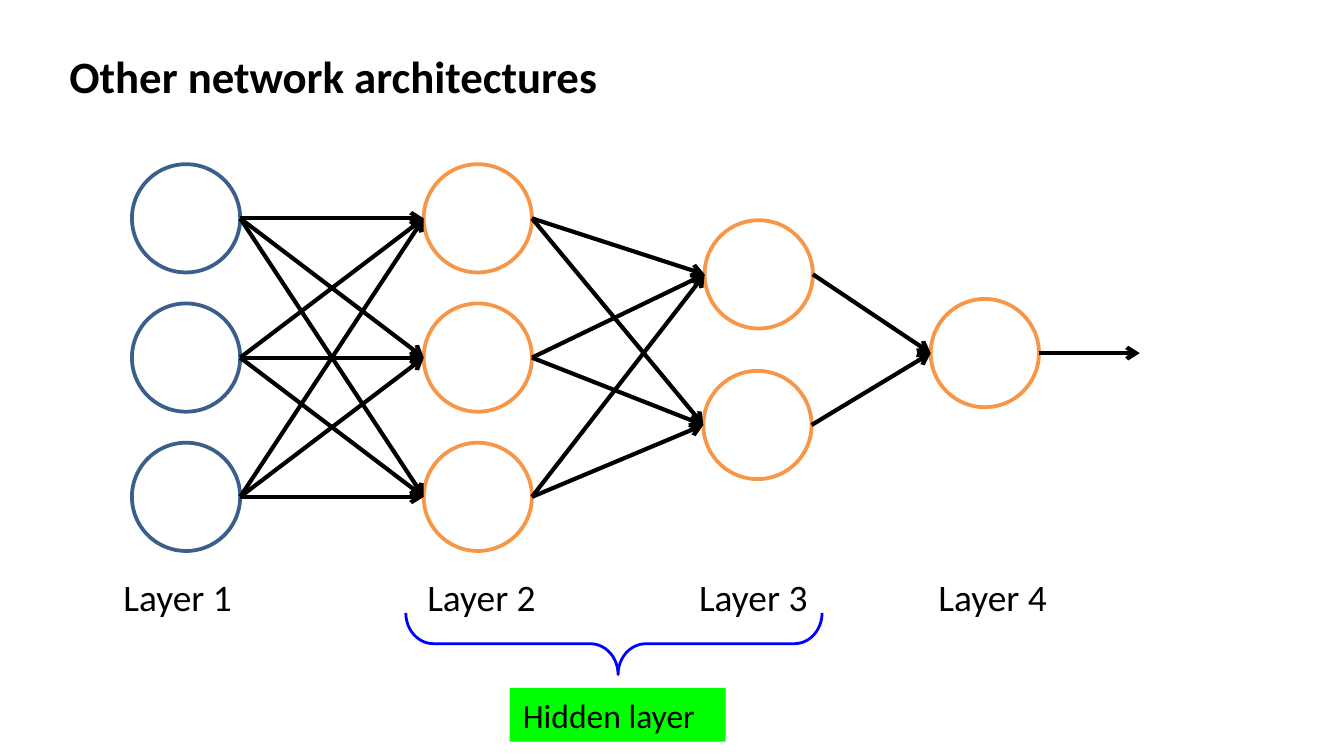
from dataclasses import dataclass
from itertools import pairwise, product

from lxml.etree import SubElement
from pptx import Presentation
from pptx.dml.color import RGBColor
from pptx.enum.shapes import MSO_CONNECTOR, MSO_SHAPE
from pptx.enum.text import MSO_ANCHOR, MSO_AUTO_SIZE, PP_ALIGN
from pptx.oxml.ns import qn
from pptx.util import Pt


@dataclass(frozen=True)
class Theme:
    font: str = "Calibri"
    text: RGBColor = RGBColor(0, 0, 0)
    neuron_fill: RGBColor = RGBColor(255, 255, 255)
    input_line: RGBColor = RGBColor(0x3A, 0x5F, 0x8C)
    neuron_line: RGBColor = RGBColor(0xF7, 0x96, 0x46)
    brace: RGBColor = RGBColor(0, 0, 255)
    highlight: RGBColor = RGBColor(0, 255, 0)
    title_size: int = 24
    label_size: int = 20
    note_size: int = 18
    neuron_width: float = 2
    edge_width: float = 2.25
    brace_width: float = 1.5


DIAMETER = 58
ROWS = [117 + 74.6 * row for row in range(3)]
# Neuron centres of each layer, in points
LAYERS = [
    [(99.7, y) for y in ROWS],
    [(256, y) for y in ROWS],
    [(406.5, 147), (405.8, 227.7)],
    [(527.6, 189.2)],
]
LABEL_LEFTS = [59, 221.8, 367.4, 495.6]
OUTPUT_END = 610.6


def set_text(frame, text, *, font, size, color, bold=False, wrap=True):
    frame.word_wrap = wrap
    frame.auto_size = MSO_AUTO_SIZE.SHAPE_TO_FIT_TEXT
    frame.vertical_anchor = MSO_ANCHOR.TOP
    paragraph = frame.paragraphs[0]
    paragraph.alignment = PP_ALIGN.LEFT
    run = paragraph.add_run()
    run.text = text
    run.font.name = font
    run.font.size = Pt(size)
    run.font.bold = bold
    run.font.color.rgb = color


class SlideBuilder:
    def __init__(self, slide, theme):
        self.slide = slide
        self.theme = theme

    def fill_text(self, shape, text, size, **options):
        set_text(shape.text_frame, text, font=self.theme.font, size=size,
                 color=self.theme.text, **options)

    def title(self, text, left, top, width, height):
        shape = self.slide.shapes.title
        shape.left, shape.top = Pt(left), Pt(top)
        shape.width, shape.height = Pt(width), Pt(height)
        self.fill_text(shape, text, self.theme.title_size, bold=True)

    def label(self, text, left, top, width, height):
        box = self.slide.shapes.add_textbox(Pt(left), Pt(top), Pt(width), Pt(height))
        self.fill_text(box, text, self.theme.label_size, wrap=False)

    def shape(self, kind, left, top, width, height, *, fill=None, line=None, line_width=1):
        shape = self.slide.shapes.add_shape(kind, Pt(left), Pt(top), Pt(width), Pt(height))
        shape.shadow.inherit = False
        if fill is None:
            shape.fill.background()
        else:
            shape.fill.solid()
            shape.fill.fore_color.rgb = fill
        if line is None:
            shape.line.fill.background()
        else:
            shape.line.color.rgb = line
            shape.line.width = Pt(line_width)
        return shape

    def neuron(self, center, line):
        x, y = center
        self.shape(MSO_SHAPE.OVAL, x - DIAMETER / 2, y - DIAMETER / 2, DIAMETER, DIAMETER,
                   fill=self.theme.neuron_fill, line=line,
                   line_width=self.theme.neuron_width)

    def note(self, text, left, top, width, height):
        box = self.shape(MSO_SHAPE.RECTANGLE, left, top, width, height,
                         fill=self.theme.highlight)
        self.fill_text(box, text, self.theme.note_size)

    def brace_below(self, left, top, width, height):
        """Draw a brace pointing down; the box is the one seen after rotation."""
        brace = self.shape(MSO_SHAPE.RIGHT_BRACE,
                           left + (width - height) / 2, top + (height - width) / 2,
                           height, width,
                           line=self.theme.brace, line_width=self.theme.brace_width)
        brace.rotation = 90
        brace.adjustments[0] = 0.45
        brace.adjustments[1] = 0.49

    def arrow(self, start, end):
        connector = self.slide.shapes.add_connector(
            MSO_CONNECTOR.STRAIGHT, *(Pt(value) for value in (*start, *end)))
        connector.line.color.rgb = self.theme.text
        connector.line.width = Pt(self.theme.edge_width)
        properties = connector.element.spPr
        SubElement(properties.find(qn("a:ln")), qn("a:tailEnd"), type="arrow")
        SubElement(properties, qn("a:effectLst"))


def main():
    presentation = Presentation()
    presentation.slide_width, presentation.slide_height = Pt(720), Pt(405)
    slide = presentation.slides.add_slide(presentation.slide_layouts[5])
    theme = Theme()
    builder = SlideBuilder(slide, theme)

    builder.title("Other network architectures", 30, 22.4, 504, 36)

    for index, (layer, label_left) in enumerate(zip(LAYERS, LABEL_LEFTS)):
        line = theme.input_line if index == 0 else theme.neuron_line
        for center in layer:
            builder.neuron(center, line)
        builder.label(f"Layer {index + 1}", label_left, 304, 73.4, 31.6)

    radius = DIAMETER / 2
    for sources, targets in pairwise(LAYERS):
        for (x1, y1), (x2, y2) in product(sources, targets):
            builder.arrow((x1 + radius, y1), (x2 - radius, y2))
    output_x, output_y = LAYERS[-1][0]
    builder.arrow((output_x + radius, output_y), (OUTPUT_END, output_y))

    builder.brace_below(217.4, 328.4, 223, 33)
    builder.note("Hidden layer", 273, 368.6, 115.8, 28.8)

    presentation.save("out.pptx")


if __name__ == "__main__":
    main()
